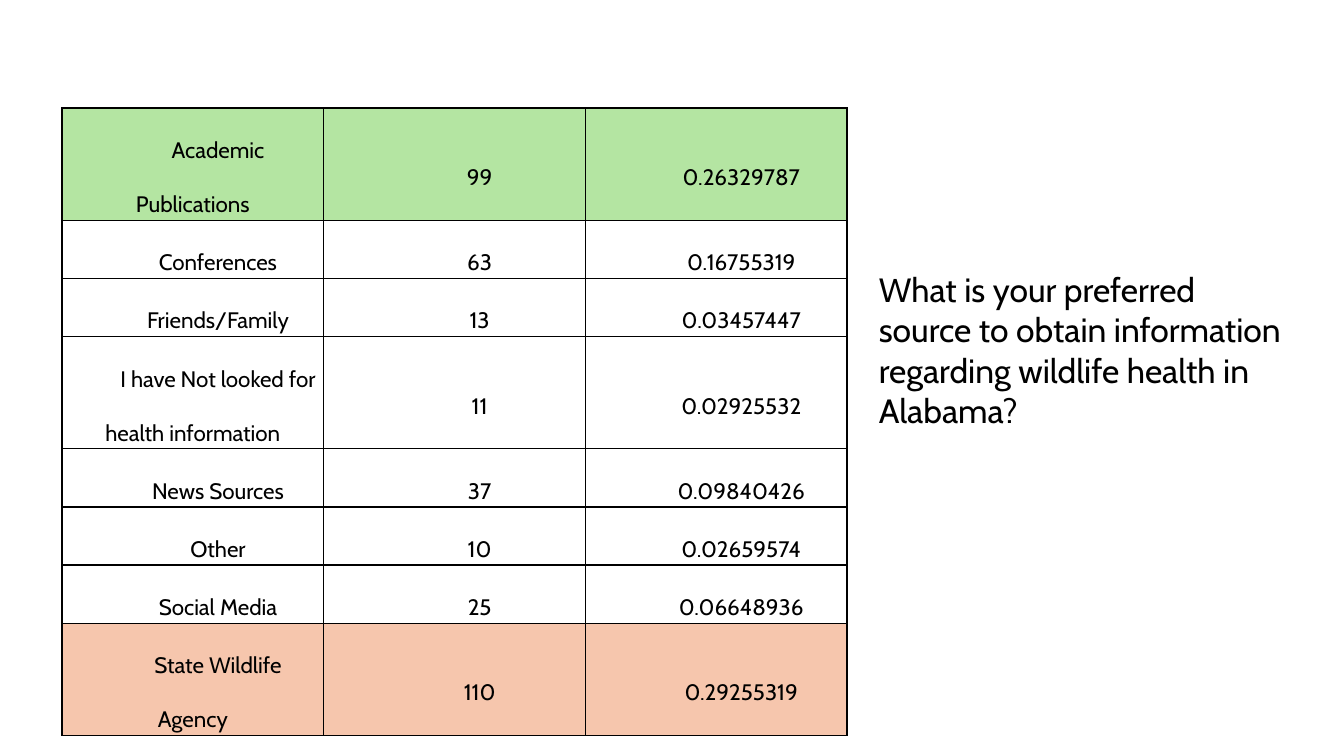
import pptx
import pptx.util
import pptx.dml.color
import pptx.enum.text
import pptx.oxml
import pptx.oxml.ns

SCALE = 914400 / 100.8
INK = {"text": "000000", "green": "B4E5A2", "peach": "F6C6AD"}
ROWS = [
    ("Academic Publications", "99", "0.26329787"),
    ("Conferences", "63", "0.16755319"),
    ("Friends/Family", "13", "0.03457447"),
    ("I have Not looked for health information", "11", "0.02925532"),
    ("News Sources", "37", "0.09840426"),
    ("Other", "10", "0.02659574"),
    ("Social Media", "25", "0.06648936"),
    ("State Wildlife Agency", "110", "0.29255319"),
]
FILLS = {0: "green", 7: "peach"}
TALL = (0, 3, 7)


def px(n):
    return pptx.util.Emu(round(n * SCALE))


def add_run(para, text, size):
    run = para.add_run()
    run.text = text
    run.font.name = "Cabin"
    run.font.size = pptx.util.Pt(size)
    run.font.color.rgb = pptx.dml.color.RGBColor.from_string(INK["text"])


deck = pptx.Presentation()
deck.slide_width, deck.slide_height = px(1344), px(756)
slide = deck.slides.add_slide(deck.slide_layouts[6])

# Table of sources, counts and shares
frame = slide.shapes.add_table(len(ROWS), 3, px(62), px(108), px(785), px(626))
table = frame.table
table.first_row = table.horz_banding = False
for col in table.columns:
    col.width = px(785 / 3)

for r, row in enumerate(ROWS):
    table.rows[r].height = px(112 if r in TALL else 58)
    for c, text in enumerate(row):
        cell = table.cell(r, c)
        cell.vertical_anchor = pptx.enum.text.MSO_ANCHOR.MIDDLE
        cell.margin_left = cell.margin_right = px(6)
        cell.margin_top = cell.margin_bottom = px(2)
        para = cell.text_frame.paragraphs[0]
        para.alignment = pptx.enum.text.PP_ALIGN.CENTER
        para.line_spacing = 2.0
        props = para._p.get_or_add_pPr()
        props.set("marL", "0")
        props.set("indent", str(pptx.util.Inches(0.5)))
        add_run(para, text, 16)

        # Cell borders go before the fill
        edges = cell._tc.get_or_add_tcPr()
        for side in ("lnL", "lnR", "lnT", "lnB"):
            edges.append(pptx.oxml.parse_xml(
                f'<a:{side} {pptx.oxml.ns.nsdecls("a")} w="12700"><a:solidFill>'
                f'<a:srgbClr val="{INK["text"]}"/></a:solidFill></a:{side}>'))
        if r in FILLS:
            cell.fill.solid()
            cell.fill.fore_color.rgb = pptx.dml.color.RGBColor.from_string(INK[FILLS[r]])
        else:
            cell.fill.background()

# Survey question
box = slide.shapes.add_textbox(px(869), px(264), px(422), px(173))
box.text_frame.word_wrap = True
add_run(box.text_frame.paragraphs[0],
        "What is your preferred source to obtain information "
        "regarding wildlife health in Alabama?", 24)

deck.save("out.pptx")
